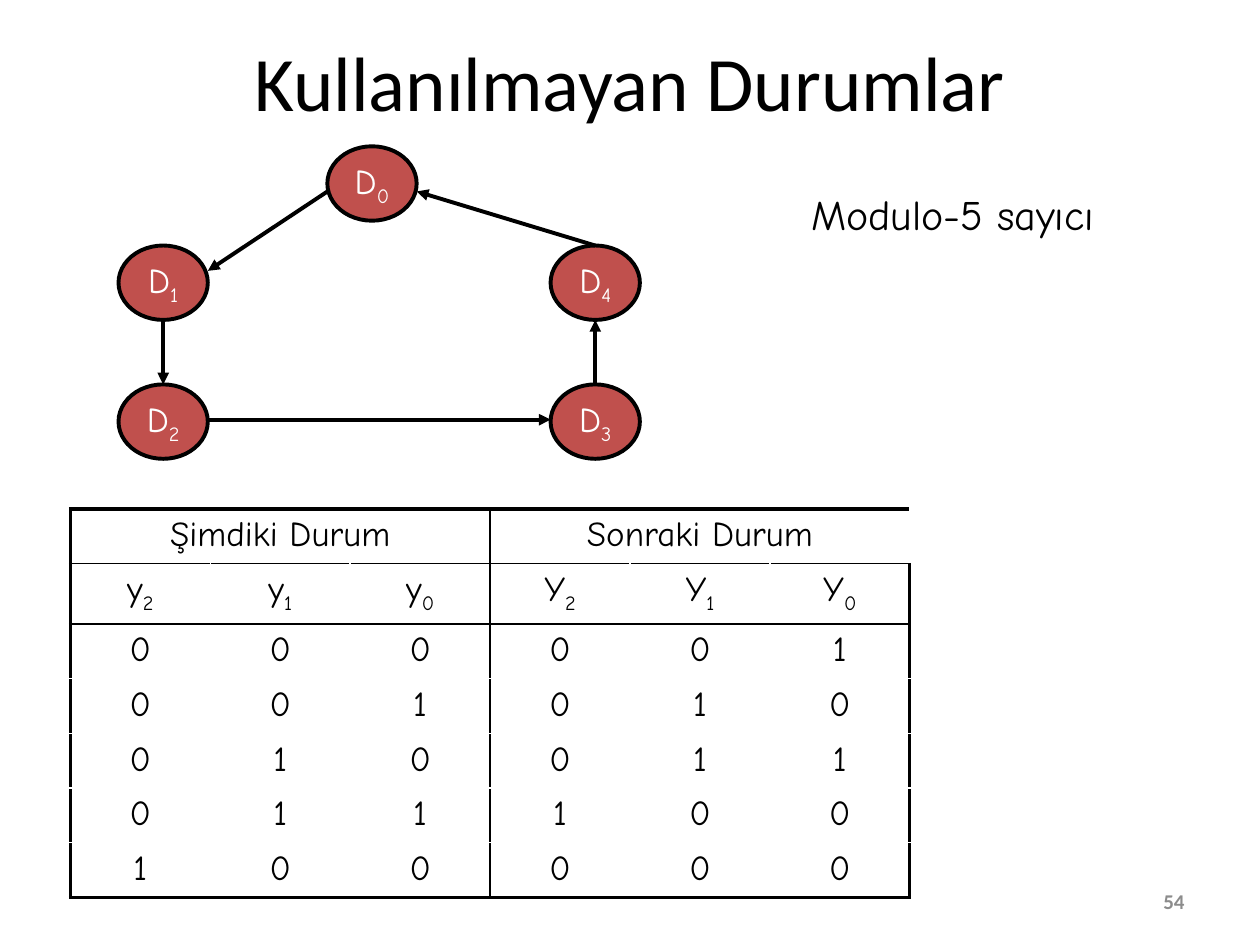
from dataclasses import dataclass

from lxml.etree import SubElement
from pptx import Presentation
from pptx.dml.color import RGBColor
from pptx.enum.shapes import MSO_CONNECTOR, MSO_SHAPE
from pptx.enum.text import MSO_ANCHOR, PP_ALIGN
from pptx.oxml import parse_xml
from pptx.oxml.ns import nsdecls, qn
from pptx.util import Cm, Pt


@dataclass(frozen=True)
class Theme:
    ink: RGBColor = RGBColor(0, 0, 0)
    state: RGBColor = RGBColor(0xC0, 0x50, 0x4D)
    on_state: RGBColor = RGBColor(255, 255, 255)
    muted: RGBColor = RGBColor(0x8C, 0x8C, 0x8C)
    heading_font: str = "Calibri"
    body_font: str = "Comic Neue"
    title: int = 44
    caption: int = 24
    body: int = 20
    footer: int = 12
    thick: float = 2.25
    thin: float = 1


theme = Theme()


def write(frame, text, size, color, font=theme.body_font, align=PP_ALIGN.CENTER, subscript=""):
    paragraph = frame.paragraphs[0]
    paragraph.alignment = align
    paragraph.font.size = Pt(size)
    paragraph.font.name = font
    paragraph.font.color.rgb = color
    paragraph.add_run().text = text
    if subscript:
        index = paragraph.add_run()
        index.text = subscript
        index.font._element.set("baseline", "-25000")
    return paragraph


def add_label(left, top, width, height, anchor, *content):
    frame = slide.shapes.add_textbox(Cm(left), Cm(top), Cm(width), Cm(height)).text_frame
    frame.word_wrap = True
    frame.vertical_anchor = anchor
    return write(frame, *content)


presentation = Presentation()
presentation.slide_width = Cm(25.4)
presentation.slide_height = Cm(19.05)
slide = presentation.slides.add_slide(presentation.slide_layouts[6])

add_label(1.27, 0.03, 22.86, 3.18, MSO_ANCHOR.MIDDLE,
          "Kullanılmayan Durumlar", theme.title, theme.ink, theme.heading_font)
page_number = add_label(18.2, 17.65, 5.93, 1.02, MSO_ANCHOR.MIDDLE,
                        "54", theme.footer, theme.muted, theme.heading_font, PP_ALIGN.RIGHT)
page_number.font.bold = True
add_label(16.1, 3.68, 6.71, 1.27, MSO_ANCHOR.TOP,
          "Modulo-5 sayıcı", theme.caption, theme.ink, theme.body_font, PP_ALIGN.LEFT)

state_width, state_height = 1.8, 1.5
left_x, middle_x, right_x = 2.39, 6.6, 11.1
top_y, upper_y, lower_y = 2.95, 4.95, 7.75
state_places = [(middle_x, top_y), (left_x, upper_y), (left_x, lower_y),
                (right_x, lower_y), (right_x, upper_y)]
for number, (x, y) in enumerate(state_places):
    state = slide.shapes.add_shape(MSO_SHAPE.OVAL, Cm(x), Cm(y), Cm(state_width), Cm(state_height))
    state.shadow.inherit = False
    state.fill.solid()
    state.fill.fore_color.rgb = theme.state
    state.line.color.rgb = theme.ink
    state.line.width = Pt(theme.thick)
    state.text_frame.word_wrap = False
    state.text_frame.vertical_anchor = MSO_ANCHOR.MIDDLE
    write(state.text_frame, "D", theme.body, theme.on_state, subscript=str(number))

left_center = left_x + state_width / 2
right_center = right_x + state_width / 2
transitions = [
    (middle_x, 3.86, left_x + state_width, 5.46),
    (left_center, upper_y + state_height, left_center, lower_y),
    (left_x + state_width, 8.46, right_x, 8.46),
    (right_center, lower_y, right_center, upper_y + state_height),
    (right_center, upper_y, middle_x + state_width, 3.86),
]
for ends in transitions:
    transition = slide.shapes.add_connector(MSO_CONNECTOR.STRAIGHT, *map(Cm, ends))
    transition.line.color.rgb = theme.ink
    transition.line.width = Pt(theme.thick)
    SubElement(transition.line._get_or_add_ln(), qn("a:tailEnd"), type="triangle")
    SubElement(transition._element.spPr, qn("a:effectLst"))

headings = ["Şimdiki Durum", "", "", "Sonraki Durum", "", ""]
variables = ["y2", "y1", "y0", "Y2", "Y1", "Y0"]
transition_rows = ["000001", "001010", "010011", "011100", "100000"]
rows = [headings, variables, *transition_rows]
last_row, last_column = len(rows) - 1, len(variables) - 1
half = len(variables) // 2

state_table = slide.shapes.add_table(len(rows), len(variables),
                                     Cm(1.42), Cm(10.26), Cm(16.92), Cm(7.7)).table
state_table.first_row = False
state_table.horz_banding = False
for column in state_table.columns:
    column.width = Cm(2.82)
for row in state_table.rows:
    row.height = Cm(1.1)
for start in (0, half):
    state_table.cell(0, start).merge(state_table.cell(0, start + half - 1))

for r, values in enumerate(rows):
    for c, value in enumerate(values):
        cell = state_table.cell(r, c)
        cell.fill.background()
        if value:
            paragraph = write(cell.text_frame, value[0] if r == 1 else value, theme.body,
                              theme.ink, subscript=value[1] if r == 1 else "")
            spacing = parse_xml(f'<a:spcBef {nsdecls("a")}><a:spcPct val="20000"/></a:spcBef>')
            paragraph._p.get_or_add_pPr().insert(0, spacing)
        borders = {
            "lnL": theme.thick if c == 0 else theme.thin if c == half else 0,
            "lnR": theme.thick if c == last_column else theme.thin if c == half - 1 else 0,
            "lnT": theme.thick if r == 0 else theme.thin if r <= 2 else 0,
            "lnB": theme.thick if r == last_row else theme.thin if r <= 1 else 0,
        }
        drawn = [(side, weight) for side, weight in borders.items() if weight]
        for position, (side, weight) in enumerate(drawn):
            border = parse_xml(
                f'<a:{side} {nsdecls("a")} w="{Pt(weight)}"><a:solidFill>'
                f'<a:srgbClr val="{theme.ink}"/></a:solidFill></a:{side}>')
            cell._tc.get_or_add_tcPr().insert(position, border)

presentation.save("out.pptx")
